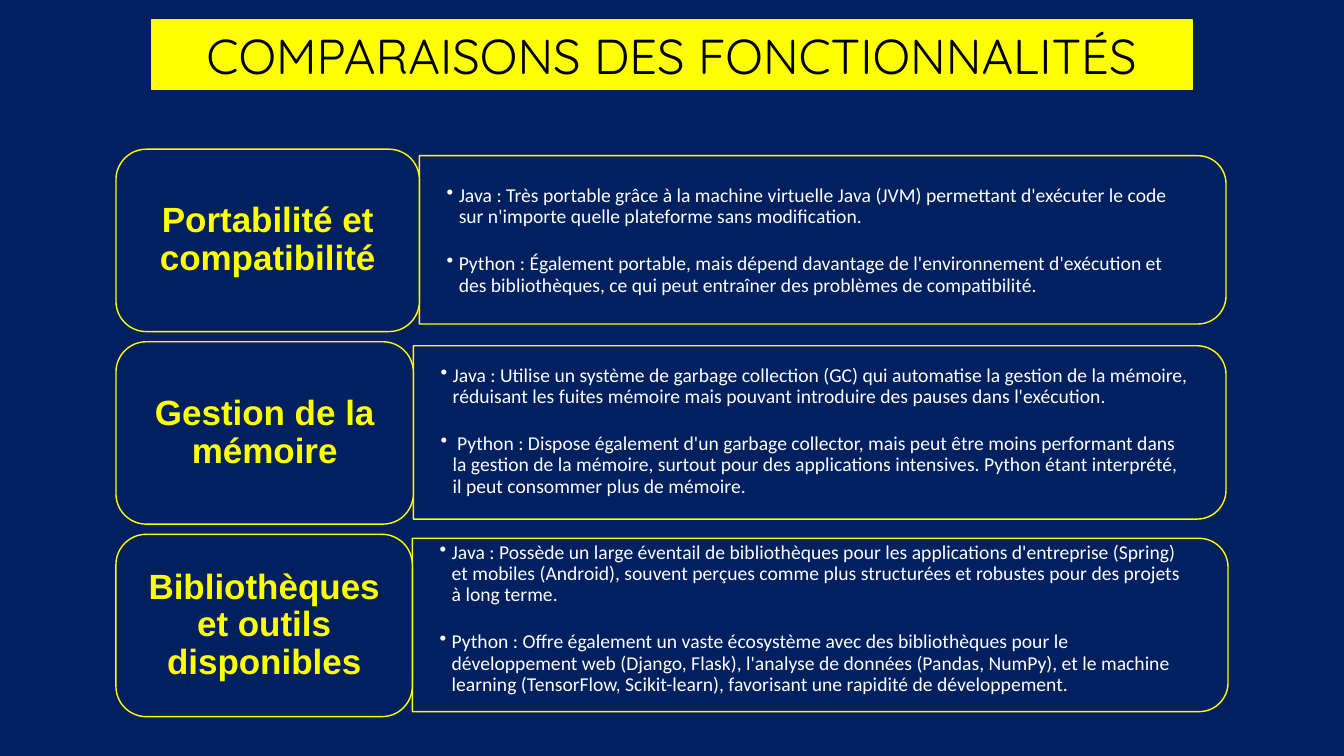
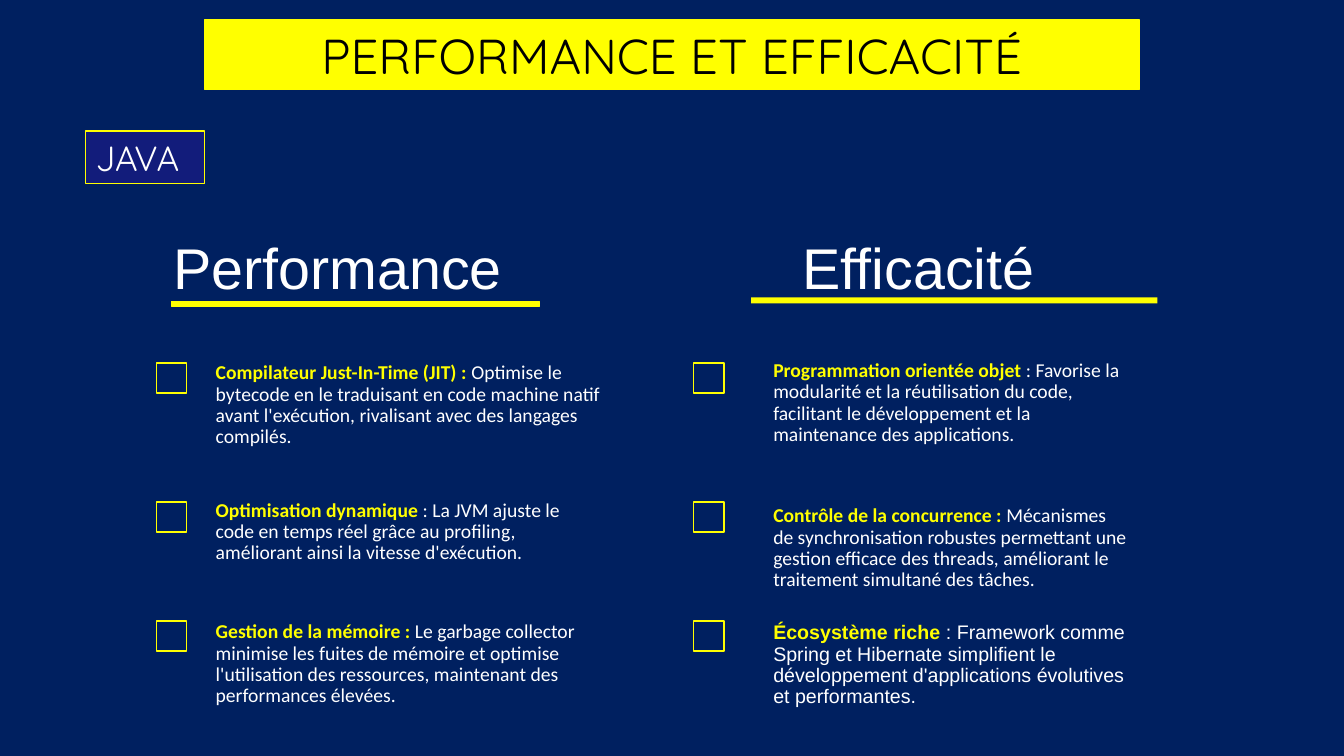
from lxml import etree
from pptx import Presentation
from pptx import util as u
from pptx.dml.color import RGBColor
from pptx.enum import shapes, text
from pptx.oxml import ns

COLORS = {"navy": "002060", "indigo": "121C7B", "yellow": "FFFF00",
          "white": "FFFFFF", "black": "000000"}
SHAPE = shapes.MSO_SHAPE
LEFT, CENTER = text.PP_ALIGN.LEFT, text.PP_ALIGN.CENTER


class Deck:
    """Build slides that share one palette, title band and text style."""

    def __init__(self):
        self.prs = Presentation()
        self.prs.slide_width = u.Inches(13.33)
        self.prs.slide_height = u.Inches(7.5)
        self.s = None

    def color(self, name):
        return RGBColor.from_string(COLORS[name])

    def slide(self, title, left, width):
        self.s = self.prs.slides.add_slide(self.prs.slide_layouts[6])
        fill = self.s.background.fill
        fill.solid()
        fill.fore_color.rgb = self.color("navy")
        sp = self.box(left, 0.2, width, 0.69, fill="yellow")
        self.caption(sp, title, 35, "Quicksand", "black")

    def box(self, x, y, w, h, kind=SHAPE.RECTANGLE, fill="navy", line="yellow"):
        sp = self.s.shapes.add_shape(kind, *map(u.Inches, (x, y, w, h)))
        sp.shadow.inherit = False
        sp.fill.solid()
        sp.fill.fore_color.rgb = self.color(fill)
        if line:
            sp.line.color.rgb = self.color(line)
            sp.line.width = u.Pt(1)
        else:
            sp.line.fill.background()
        return sp

    def panel(self, x, cy, w, h):
        sp = self.box(x + (w - h) / 2, cy - w / 2, h, w, SHAPE.ROUND_2_SAME_RECTANGLE)
        sp.rotation = 90

    def textbox(self, x, cy, w, h, inset_x, inset_y):
        sp = self.s.shapes.add_textbox(*map(u.Inches, (x, cy - h / 2, w, h)))
        tf = sp.text_frame
        tf.word_wrap = True
        tf.vertical_anchor = text.MSO_ANCHOR.MIDDLE
        tf.margin_left = tf.margin_right = u.Inches(inset_x)
        tf.margin_top = tf.margin_bottom = u.Inches(inset_y)
        return sp

    def font(self, r, size, name, color, bold=False):
        r.font.size = u.Pt(size)
        r.font.name = name
        r.font.bold = bold
        r.font.color.rgb = self.color(color)

    def caption(self, sp, words, size, name, color, bold=False, align=CENTER, spacing=1.0):
        tf = sp.text_frame
        tf.text = words
        tf.vertical_anchor = text.MSO_ANCHOR.MIDDLE
        p = tf.paragraphs[0]
        p.alignment = align
        p.line_spacing = spacing
        self.font(p.runs[0], size, name, color, bold)

    def bullets(self, sp, lines):
        tf = sp.text_frame
        for i, words in enumerate(lines):
            p = tf.add_paragraph() if i else tf.paragraphs[0]
            p.text = words
            pPr = p._p.get_or_add_pPr()
            pPr.set("marL", str(u.Inches(0.12)))
            pPr.set("indent", str(-u.Inches(0.12)))
            etree.SubElement(pPr, ns.qn("a:buChar")).set("char", "•")
            p.line_spacing = 0.9
            if i:
                p.space_before = u.Pt(18.5)
            self.font(p.runs[0], 14, "Calibri", "white")

    def row(self, cy, label, label_w, panel_w, panel_h, text_cy, lines):
        x = 1.15 + label_w
        self.panel(x, cy, panel_w, panel_h)
        self.bullets(self.textbox(x, text_cy, panel_w - 0.09, 1.55, 0.27, 0.14), lines)
        sp = self.box(1.15, cy - 0.9, label_w, 1.81, SHAPE.ROUNDED_RECTANGLE)
        self.caption(sp, label, 25, "Arial", "yellow", bold=True, spacing=0.9)

    def heading(self, x, words):
        sp = self.textbox(x, 2.69, 4.03, 0.85, 0.09, 0.06)
        self.caption(sp, words, 41, "Arial", "white", align=LEFT, spacing=0.9)

    def item(self, box_x, box_y, x, cy, w, term, words, name="Calibri"):
        self.box(box_x, box_y, 0.3, 0.3)
        p = self.textbox(x, cy, w, 1.06, 0.11, 0.11).text_frame.paragraphs[0]
        p.line_spacing = 0.9
        for part, color, bold in ((term, "yellow", True), (words, "white", False)):
            r = p.add_run()
            r.text = part
            self.font(r, 14, name, color, bold)


ROWS = [
    ("Portabilité et compatibilité", 3.01, 8.0, 1.67, 2.39, [
        "Java : Très portable grâce à la machine virtuelle Java (JVM) permettant "
        "d'exécuter le code sur n'importe quelle plateforme sans modification.",
        "Python : Également portable, mais dépend davantage de l'environnement "
        "d'exécution et des bibliothèques, ce qui peut entraîner des problèmes de "
        "compatibilité."]),
    ("Gestion de la mémoire", 2.95, 8.06, 1.72, 4.28, [
        "Java : Utilise un système de garbage collection (GC) qui automatise la gestion "
        "de la mémoire, réduisant les fuites mémoire mais pouvant introduire des pauses "
        "dans l'exécution.",
        " Python : Dispose également d'un garbage collector, mais peut être moins "
        "performant dans la gestion de la mémoire, surtout pour des applications "
        "intensives. Python étant interprété, il peut consommer plus de mémoire."]),
    ("Bibliothèques et outils disponibles", 2.94, 8.09, 1.72, 6.14, [
        "Java : Possède un large éventail de bibliothèques pour les applications "
        "d'entreprise (Spring) et mobiles (Android), souvent perçues comme plus "
        "structurées et robustes pour des projets à long terme.",
        "Python : Offre également un vaste écosystème avec des bibliothèques pour le "
        "développement web (Django, Flask), l'analyse de données (Pandas, NumPy), et le "
        "machine learning (TensorFlow, Scikit-learn), favorisant une rapidité de "
        "développement."]),
]

PERFORMANCE = [
    (4.02, 4.11, "Compilateur Just-In-Time (JIT) : ",
     "Optimise le bytecode en le traduisant en code machine natif avant l'exécution, "
     "rivalisant avec des langages compilés."),
    (5.28, 4.0, "Optimisation dynamique ",
     ": La JVM ajuste le code en temps réel grâce au profiling, améliorant ainsi la "
     "vitesse d'exécution."),
    (6.59, 4.46, "Gestion de la mémoire : ",
     "Le garbage collector minimise les fuites de mémoire et optimise l'utilisation des "
     "ressources, maintenant des performances élevées."),
]

EFFICACITE = [
    (4.0, 3.74, "Programmation orientée objet ",
     ": Favorise la modularité et la réutilisation du code, facilitant le développement "
     "et la maintenance des applications."),
    (5.44, 3.74, "Contrôle de la concurrence : ",
     "Mécanismes de synchronisation robustes permettant une gestion efficace des "
     "threads, améliorant le traitement simultané des tâches."),
    (6.6, 3.74, "Écosystème riche ",
     ": Framework comme Spring et Hibernate simplifient le développement d'applications "
     "évolutives et performantes.", "Arial"),
]


def main():
    deck = Deck()
    deck.slide("COMPARAISONS DES FONCTIONNALITÉS", 1.5, 10.33)
    for i, row in enumerate(ROWS):
        deck.row(2.38 + 1.91 * i, *row)

    deck.slide("PERFORMANCE ET EFFICACITÉ", 2.03, 9.27)
    sp = deck.box(0.85, 1.3, 1.18, 0.52, fill="indigo")
    deck.caption(sp, "JAVA", 25, "Quicksand", "white", align=LEFT)
    deck.box(1.7, 2.99, 3.65, 0.05, fill="yellow")
    deck.box(7.45, 2.95, 4.03, 0.06, fill="yellow", line=None)
    columns = [("Performance", 1.63, 1.55, 2.03, PERFORMANCE),
               ("Efficacité", 7.87, 6.88, 7.56, EFFICACITE)]
    for title, title_x, box_x, text_x, items in columns:
        deck.heading(title_x, title)
        for box_y, item in zip((3.6, 4.98, 6.16), items):
            deck.item(box_x, box_y, text_x, *item)
    deck.prs.save("out.pptx")


if __name__ == "__main__":
    main()
